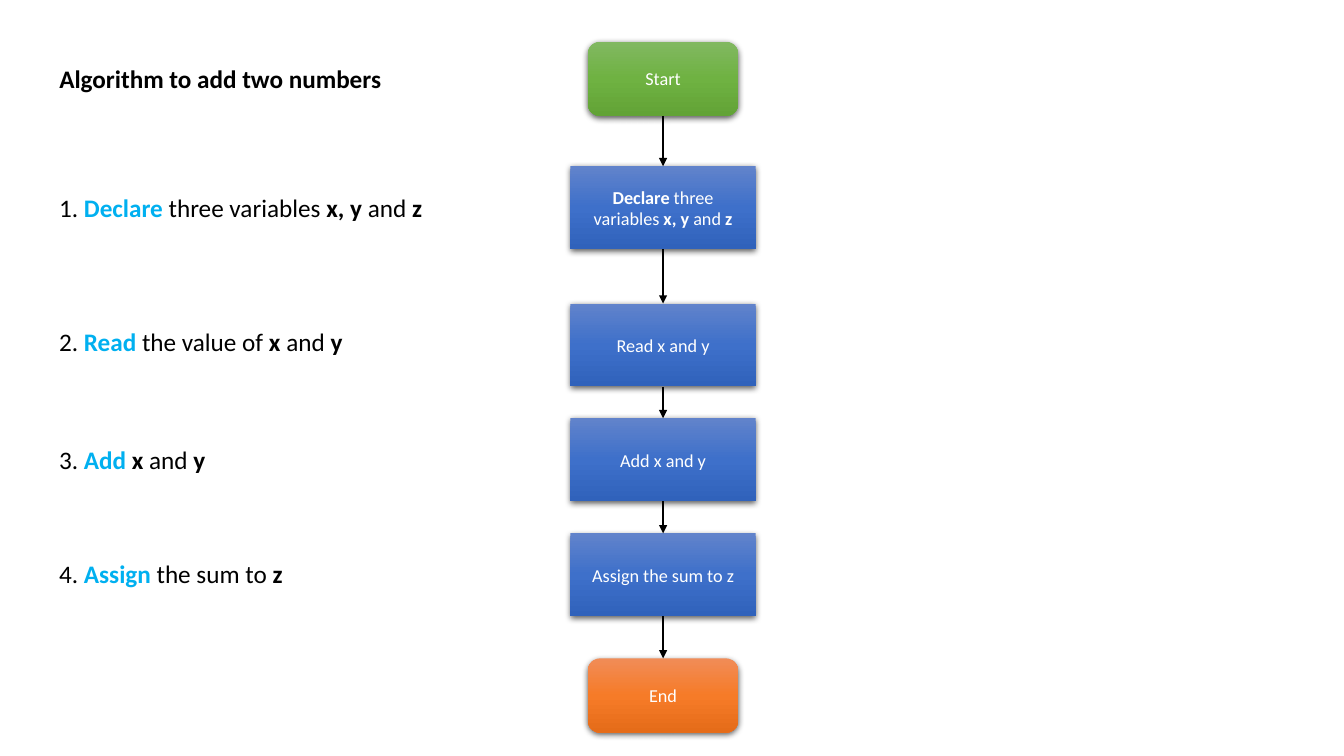
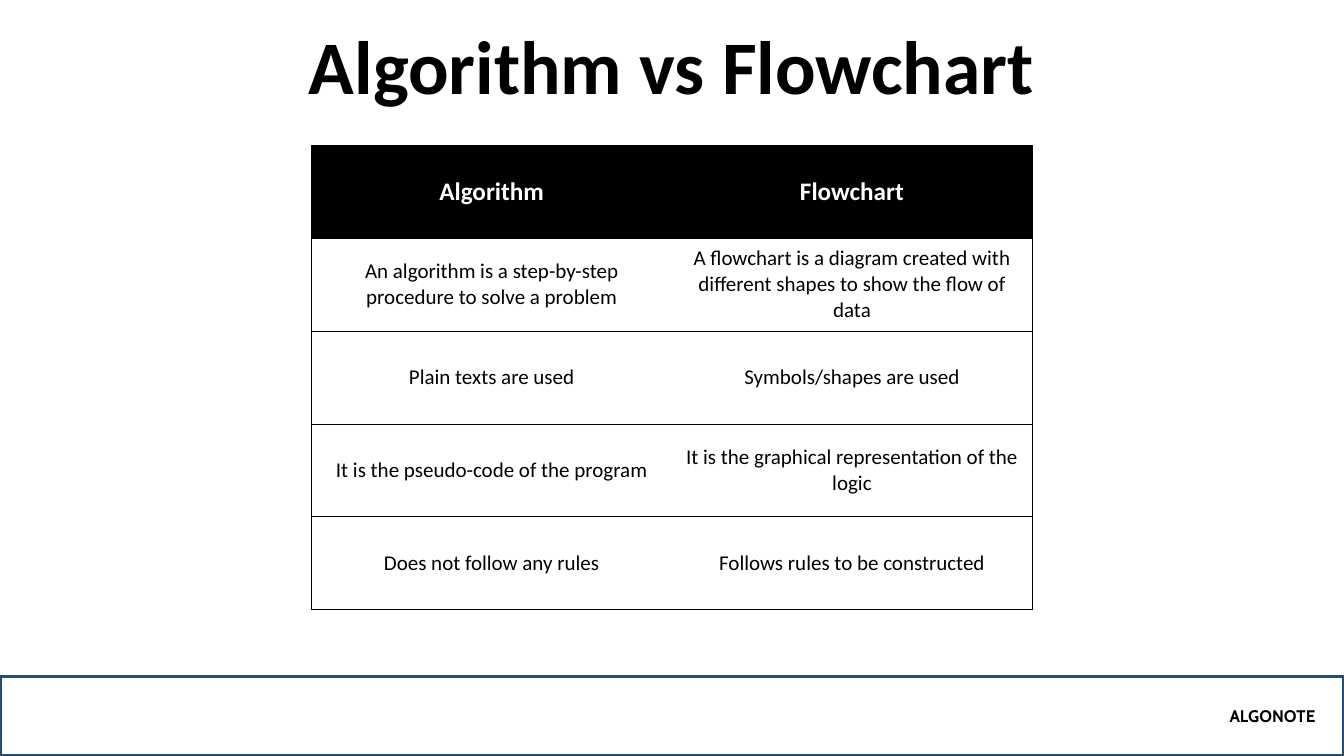
from lxml import etree
from pptx import Presentation
from pptx.dml.color import RGBColor
from pptx.enum import shapes, text
from pptx.oxml import ns
from pptx.util import Cm, Pt

BLACK, WHITE, CYAN, NAVY = "000000", "FFFFFF", "00B0F0", "1F4E79"
GREEN = ("81B861", "6FB242", "62A336")
BLUE = ("6183CB", "3E70CA", "3062BB")
ORANGE = ("F18C57", "F67B28", "E56C19")
LEFT, CENTER, RIGHT = text.PP_ALIGN.LEFT, text.PP_ALIGN.CENTER, text.PP_ALIGN.RIGHT
MIDDLE, BOTTOM = text.MSO_ANCHOR.MIDDLE, text.MSO_ANCHOR.BOTTOM


def rgb(value):
    return RGBColor.from_string(value)


def add_runs(p, runs, size, color, align=LEFT, font="Calibri"):
    p.alignment = align
    for words, bold, *accent in runs:
        r = p.add_run()
        r.text = words
        r.font.name = font
        r.font.size = Pt(size)
        r.font.bold = bold
        r.font.color.rgb = rgb(accent[0] if accent else color)


prs = Presentation()
prs.slide_width, prs.slide_height = Cm(33.87), Cm(19.05)

titles = [
    ("Algorithm to add two numbers", (1.24, 1.47, 10.2, 1.02), 18, LEFT, MIDDLE, 1),
    ("Algorithm vs Flowchart", (4.23, 0.53, 25.4, 2.39), 54, CENTER, BOTTOM, 0.9),
]
for words, box, size, align, anchor, spacing in titles:
    s = prs.slides.add_slide(prs.slide_layouts[5])
    sp = s.shapes.title
    sp.left, sp.top, sp.width, sp.height = [Cm(v) for v in box]
    tf = sp.text_frame
    tf.auto_size = text.MSO_AUTO_SIZE.NONE
    tf.vertical_anchor = anchor
    tf.paragraphs[0].line_spacing = spacing
    add_runs(tf.paragraphs[0], [(words, True)], size, BLACK, align)

flow, compare = prs.slides

steps = [
    (4.72, [("1. ", False), ("Declare", True, CYAN), (" three variables ", False),
            ("x, y ", True), ("and ", False), ("z", True)]),
    (8.1, [("2. ", False), ("Read", True, CYAN), (" the value of ", False),
           ("x", True), (" and ", False), ("y", True)]),
    (11.07, [("3. ", False), ("Add", True, CYAN), (" x", True),
             (" and ", False), ("y", True)]),
    (13.94, [("4. ", False), ("Assign", True, CYAN), (" the sum to ", False),
             ("z", True)]),
]
for top, runs in steps:
    tf = flow.shapes.add_textbox(Cm(1.24), Cm(top), Cm(10.2), Cm(1.02)).text_frame
    tf.word_wrap = True
    add_runs(tf.paragraphs[0], runs, 18, BLACK)

AXIS = 16.71
TERMINAL = (shapes.MSO_SHAPE.ROUNDED_RECTANGLE, 3.79, 1.87)
PROCESS = (shapes.MSO_SHAPE.RECTANGLE, 4.67, 2.09)
nodes = [
    (TERMINAL, 1.05, GREEN, [("Start", False)]),
    (PROCESS, 4.19, BLUE, [("Declare", True), (" three variables ", False),
                           ("x, y ", True), ("and", False), (" z", True)]),
    (PROCESS, 7.65, BLUE, [("Read x and y", False)]),
    (PROCESS, 10.54, BLUE, [("Add x and y", False)]),
    (PROCESS, 13.44, BLUE, [("Assign the sum to z", False)]),
    (TERMINAL, 16.59, ORANGE, [("End", False)]),
]
boxes = []
for (kind, width, height), top, gradient, runs in nodes:
    sp = flow.shapes.add_shape(kind, Cm(AXIS - width / 2), Cm(top), Cm(width), Cm(height))
    sp.line.fill.background()
    sp.fill.gradient()
    sp.fill.gradient_angle = 270
    stops = sp.element.spPr.find(".//" + ns.qn("a:gsLst"))
    for stop in list(stops):
        stops.remove(stop)
    for position, color in zip((0, 50000, 100000), gradient):
        stop = etree.SubElement(stops, ns.qn("a:gs"), pos=str(position))
        etree.SubElement(stop, ns.qn("a:srgbClr"), val=color)
    sp.shadow.inherit = False
    effects = sp.element.spPr.find(ns.qn("a:effectLst"))
    shadow = etree.SubElement(effects, ns.qn("a:outerShdw"), blurRad=str(Pt(4.5)),
                              dist=str(Pt(1.5)), dir="5400000", algn="ctr", rotWithShape="0")
    shade = etree.SubElement(shadow, ns.qn("a:srgbClr"), val=BLACK)
    etree.SubElement(shade, ns.qn("a:alpha"), val="63000")
    tf = sp.text_frame
    tf.word_wrap = True
    tf.vertical_anchor = MIDDLE
    add_runs(tf.paragraphs[0], runs, 13, WHITE, CENTER)
    boxes.append(sp)

for upper, lower in zip(boxes, boxes[1:]):
    arrow = flow.shapes.add_connector(shapes.MSO_CONNECTOR.STRAIGHT, 0, 0, 0, 0)
    arrow.begin_connect(upper, 2)
    arrow.end_connect(lower, 0)
    arrow.line.color.rgb = rgb(BLACK)
    arrow.line.width = Pt(1.5)
    etree.SubElement(arrow.line._get_or_add_ln(), ns.qn("a:tailEnd"), type="triangle")
    etree.SubElement(arrow._element.spPr, ns.qn("a:effectLst"))

footer = compare.shapes.add_shape(
    shapes.MSO_SHAPE.RECTANGLE, 0, Cm(17.04), prs.slide_width, Cm(2.01))
footer.shadow.inherit = False
footer.fill.background()
footer.line.color.rgb = rgb(NAVY)
footer.line.width = Pt(2.25)
tf = footer.text_frame
tf.margin_right = Cm(0.72)
tf.vertical_anchor = MIDDLE
add_runs(tf.paragraphs[0], [("ALGONOTE", True)], 12, BLACK, RIGHT, "Cabin")

rows = [
    ("Algorithm", "Flowchart"),
    ("An algorithm is a step-by-step procedure to solve a problem",
     "A flowchart is a diagram created with different shapes to show the flow of data"),
    ("Plain texts are used", "Symbols/shapes are used"),
    ("It is the pseudo-code of the program",
     "It is the graphical representation of the logic"),
    ("Does not follow any rules", "Follows rules to be constructed"),
]
table = compare.shapes.add_table(
    len(rows), 2, Cm(7.85), Cm(3.66), Cm(18.16), Cm(2.34 * len(rows))).table
table.horz_banding = False
for i, row in enumerate(rows):
    header = i == 0
    for j, words in enumerate(row):
        cell = table.cell(i, j)
        cell.vertical_anchor = MIDDLE
        tcPr = cell._tc.get_or_add_tcPr()
        for side, visible in (("L", j == 0), ("R", j == 1), ("T", True), ("B", True)):
            ln = etree.SubElement(tcPr, ns.qn("a:ln" + side), w=str(Pt(0.5)))
            if visible:
                fill = etree.SubElement(ln, ns.qn("a:solidFill"))
                etree.SubElement(fill, ns.qn("a:srgbClr"), val=BLACK)
            else:
                etree.SubElement(ln, ns.qn("a:noFill"))
        cell.fill.solid()
        cell.fill.fore_color.rgb = rgb(BLACK if header else WHITE)
        add_runs(cell.text_frame.paragraphs[0], [(words, header)],
                 18 if header else 15, WHITE if header else BLACK, CENTER)

prs.save("out.pptx")
